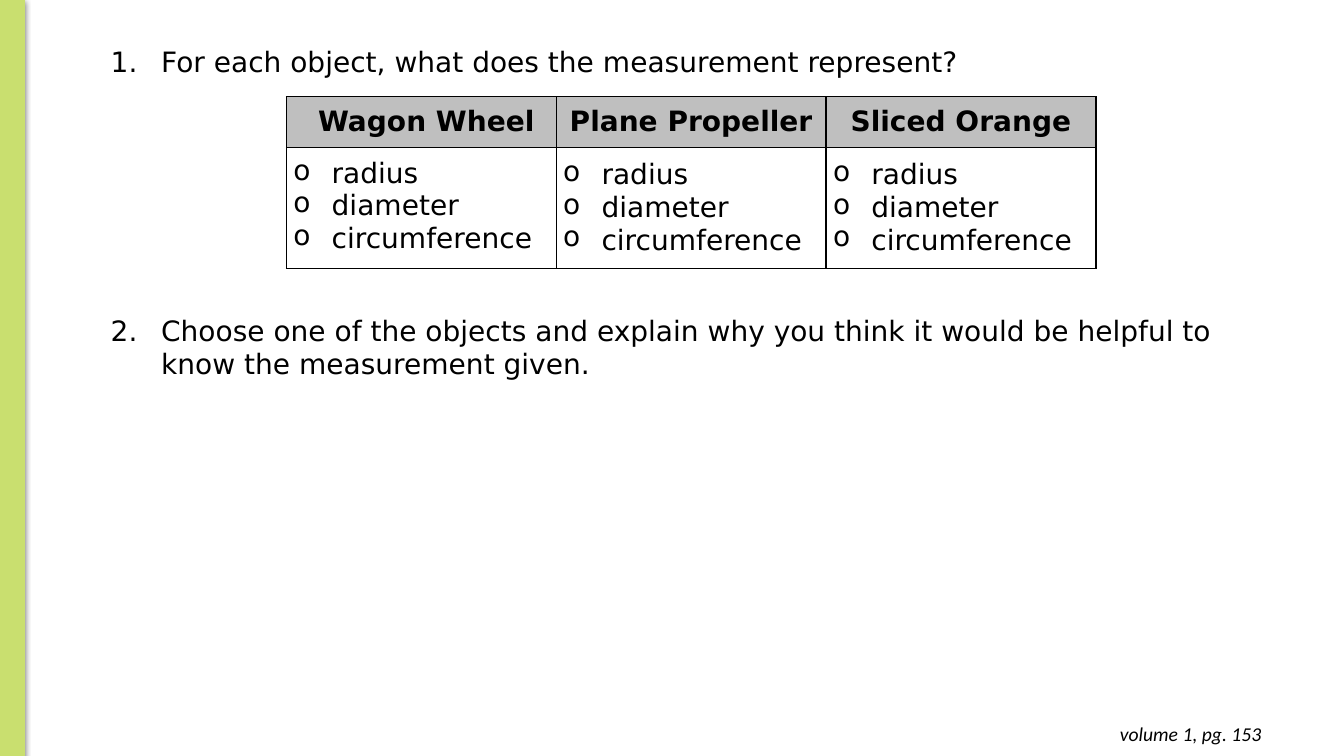
"""Build a slide with two questions about measurements of round objects."""
from dataclasses import dataclass

from lxml.etree import SubElement
from pptx import Presentation
from pptx.dml.color import RGBColor
from pptx.enum.shapes import MSO_SHAPE as Shape
from pptx.enum.text import MSO_ANCHOR as Anchor, MSO_AUTO_SIZE as AutoSize, PP_ALIGN as Align
from pptx.oxml.ns import qn
from pptx.util import Inches, Pt


@dataclass(frozen=True)
class Theme:
    black: str = "000000"
    accent: str = "C9DF6F"
    header: str = "BFBFBF"
    font: str = "DejaVu Sans"
    footer_font: str = "Calibri"
    body_size: int = 20
    footer_size: int = 14


THEME = Theme()
OBJECTS = ("Wagon Wheel", "Plane Propeller", "Sliced Orange")
MEASUREMENTS = ("radius", "diameter", "circumference")


def color(value):
    return RGBColor.from_string(value)


def add_element(parent, tag, **attributes):
    return SubElement(parent, qn(tag), {key: str(value) for key, value in attributes.items()})


def add_solid(parent, value):
    solid = add_element(parent, "a:solidFill")
    return add_element(solid, "a:srgbClr", val=value)


def write(frame, text, *, font=THEME.font, size=THEME.body_size, bold=False, italic=False,
          align=Align.LEFT, indent=0, hanging=0, bullet=None, number=None, before=0):
    """Fill the empty first paragraph, or add one, with formatted text."""
    paragraph = frame.paragraphs[0]
    if paragraph.runs:
        paragraph = frame.add_paragraph()
    properties = paragraph._p.get_or_add_pPr()
    properties.set("marL", str(Inches(indent)))
    properties.set("indent", str(-Inches(hanging)))
    if bullet or number:
        bullet_color = add_element(properties, "a:buClr")
        add_element(bullet_color, "a:srgbClr", val=THEME.black)
    if bullet:
        add_element(properties, "a:buChar", char=bullet)
    elif number:
        add_element(properties, "a:buAutoNum", type="arabicPeriod", startAt=number)
    paragraph.alignment = align
    if before:
        paragraph.space_before = Pt(before)
    run = paragraph.add_run()
    run.text = text
    run.font.name = font
    run.font.size = Pt(size)
    run.font.bold = bold
    run.font.italic = italic
    run.font.color.rgb = color(THEME.black)


def add_text_box(slide, left, top, width, height):
    box = slide.shapes.add_textbox(Inches(left), Inches(top), Inches(width), Inches(height))
    frame = box.text_frame
    frame.word_wrap = True
    frame.auto_size = AutoSize.SHAPE_TO_FIT_TEXT
    return frame


def add_side_bar(slide):
    bar = slide.shapes.add_shape(Shape.RECTANGLE, 0, 0, Inches(0.24), Inches(7.51))
    bar.fill.solid()
    bar.fill.fore_color.rgb = color(THEME.accent)
    bar.line.color.rgb = color(THEME.accent)
    bar.line.width = Pt(0.75)
    bar.shadow.inherit = False
    effects = bar._element.spPr.find(qn("a:effectLst"))
    shadow = add_element(effects, "a:outerShdw", blurRad=Pt(4.5), dist=Pt(1.5),
                         dir=90 * 60000, algn="ctr", rotWithShape=0)
    shade = add_element(shadow, "a:srgbClr", val=THEME.black)
    add_element(shade, "a:alpha", val=50000)


def add_questions(slide):
    frame = add_text_box(slide, 1, 0.39, 11.5, 3.47)
    layout = {"indent": 0.5, "hanging": 0.5}
    write(frame, "For each object, what does the measurement represent?", number=1, **layout)
    write(frame, "Choose one of the objects and explain why you think it would be helpful "
          "to know the measurement given.", number=2, before=168, **layout)


def add_footer(slide):
    frame = add_text_box(slide, 9.73, 7.06, 2.88, 0.44)
    frame.margin_top = frame.margin_bottom = Inches(0.1)
    write(frame, "volume 1, pg. 153", font=THEME.footer_font, size=THEME.footer_size,
          italic=True, align=Align.RIGHT)


def style_cell(cell, padding, anchor, fill=None):
    cell.margin_left = cell.margin_right = Inches(0.07)
    cell.margin_top = cell.margin_bottom = Inches(padding)
    cell.vertical_anchor = anchor
    properties = cell._tc.get_or_add_tcPr()
    for side in ("a:lnL", "a:lnR", "a:lnT", "a:lnB"):
        add_solid(add_element(properties, side, w=Pt(1)), THEME.black)
    if fill:
        cell.fill.solid()
        cell.fill.fore_color.rgb = color(fill)
    else:
        cell.fill.background()


def add_measurement_table(slide):
    frame = slide.shapes.add_table(2, len(OBJECTS), Inches(2.84), Inches(0.96),
                                   Inches(8.03), Inches(1.7))
    table = frame.table
    table.first_row = table.horz_banding = False
    table.rows[0].height = Inches(0.5)
    table.rows[1].height = Inches(1.2)
    for column, name in enumerate(OBJECTS):
        first = column == 0
        header, choices = table.cell(0, column), table.cell(1, column)
        style_cell(header, 0, Anchor.MIDDLE, THEME.header)
        write(header.text_frame, name, bold=True, align=Align.CENTER,
              indent=0.1 if first else 0)
        style_cell(choices, 0.1, Anchor.TOP if first else Anchor.MIDDLE)
        for measurement in MEASUREMENTS:
            write(choices.text_frame, measurement, bullet="o", indent=0.38, hanging=0.38)


def main():
    presentation = Presentation()
    presentation.slide_width = Inches(13.33)
    presentation.slide_height = Inches(7.5)
    slide = presentation.slides.add_slide(presentation.slide_layouts[6])
    add_side_bar(slide)
    add_footer(slide)
    add_questions(slide)
    add_measurement_table(slide)
    presentation.save("out.pptx")


if __name__ == "__main__":
    main()
